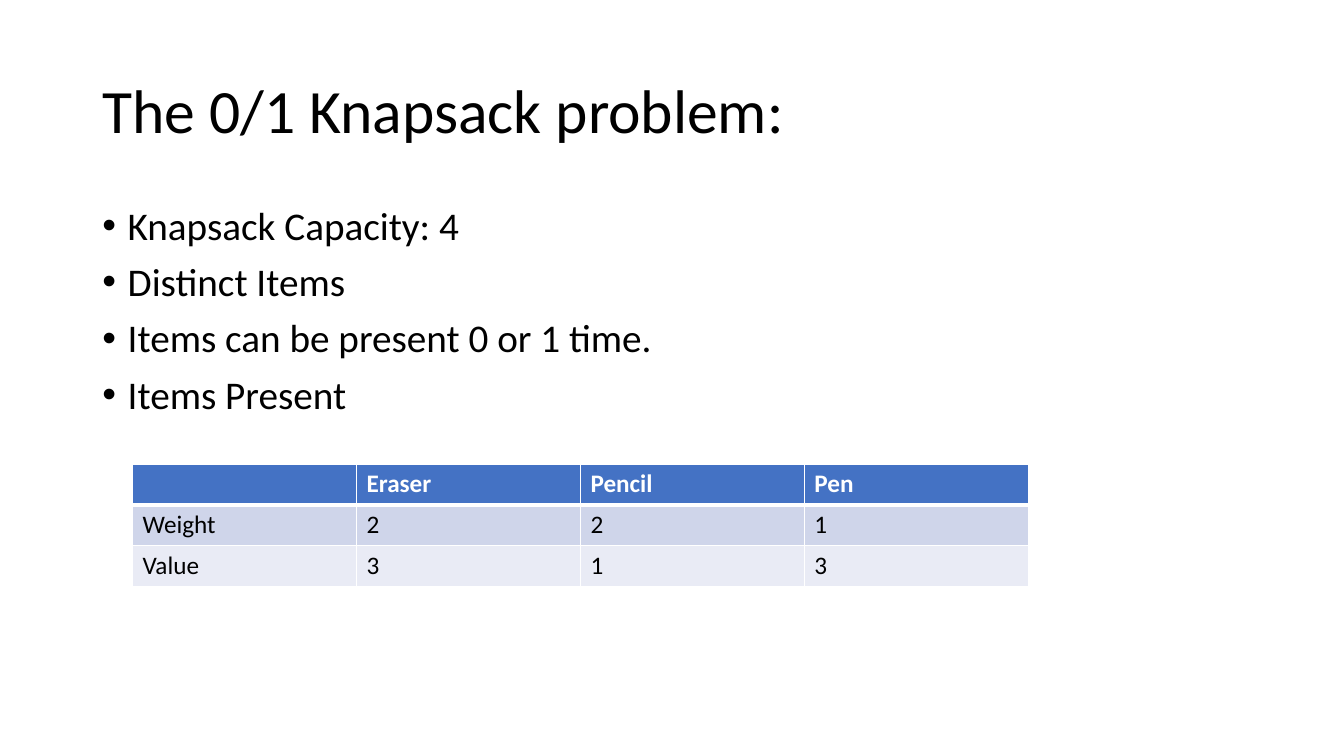
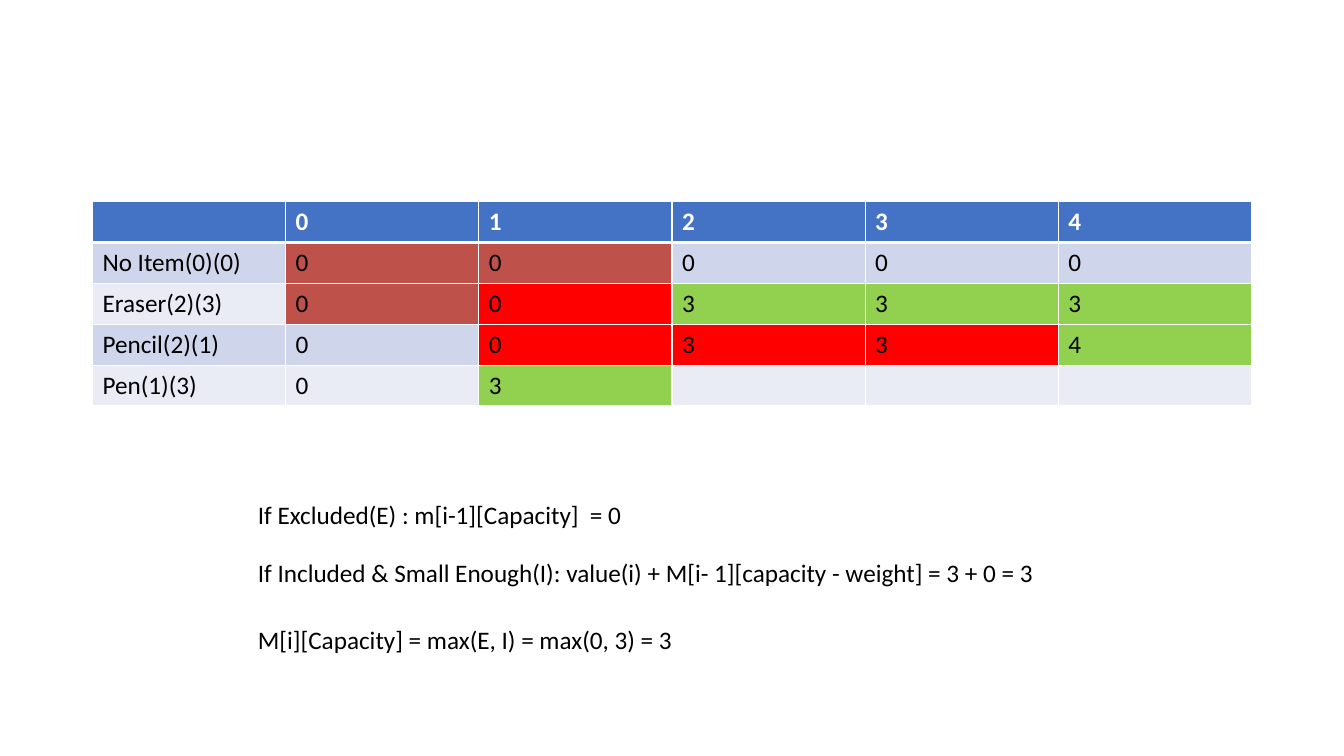
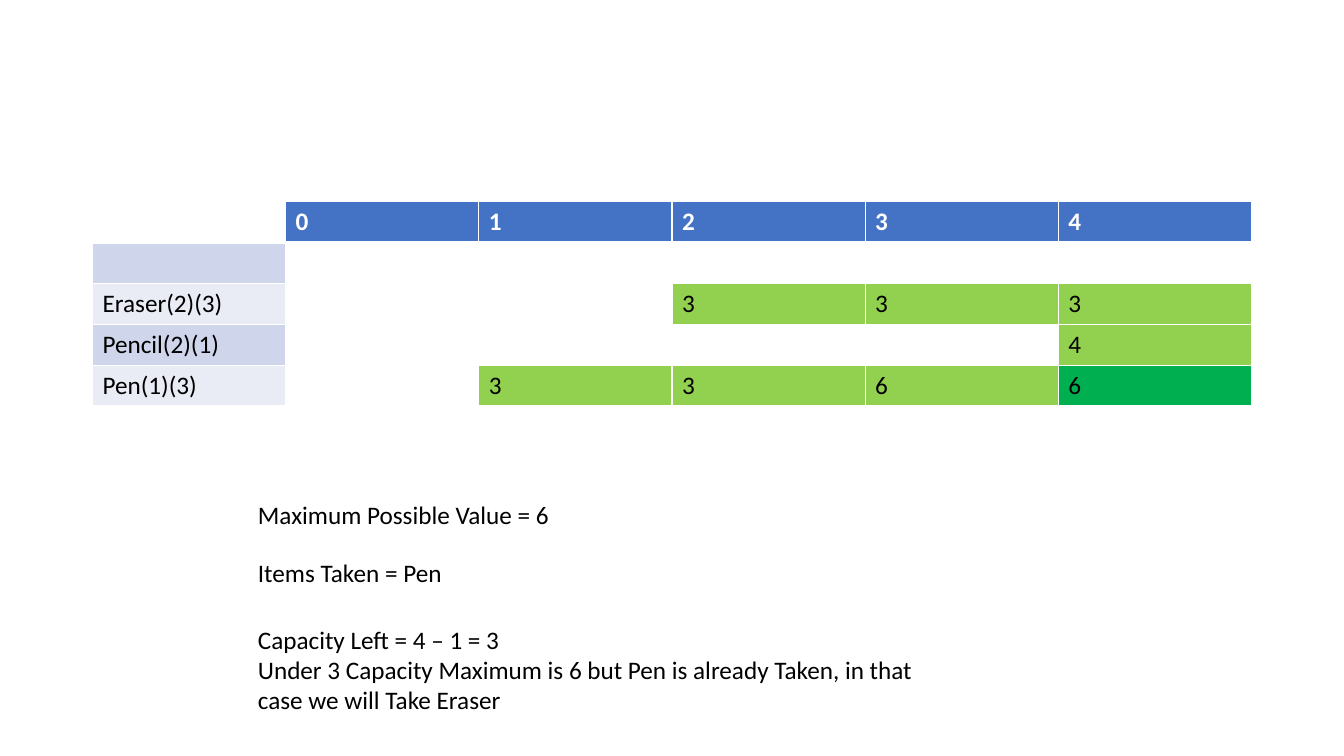
from pptx import Presentation
from pptx.dml.color import RGBColor
from pptx.enum.text import MSO_ANCHOR, MSO_AUTO_SIZE
from pptx.oxml.ns import qn
from pptx.util import Cm, Pt
from lxml import etree

COLORS = {
    "text": "000000",
    "white": "FFFFFF",
    "header": "4472C4",
    "band": "CFD5EA",
    "light": "E9EBF5",
    "brown": "BE524A",
    "red": "FF0000",
    "green": "92D050",
    "best": "00B050",
}
FILL_CODES = {"H": "header", "B": "band", "L": "light", "N": "brown",
              "R": "red", "G": "green", "X": "best", ".": None}
FONT = "Calibri"
LEFT, WIDTH = 2.33, 29.21
ROW_HEIGHT = 1.03
CAPACITIES = ["", "0", "1", "2", "3", "4"]
GRID_BOX = (LEFT, 5.08, WIDTH)
NOTE_LEFT = 6.25
NOTE_TOPS = (12.47, 13.92, 15.6)


def rgb(name):
    return RGBColor.from_string(COLORS[name])


def write(paragraph, text, size, color="text", bold=False):
    run = paragraph.add_run()
    run.text = text
    run.font.name = FONT
    run.font.size = Pt(size)
    run.font.bold = bold
    run.font.color.rgb = rgb(color)


def add_text(slide, box, lines, size, anchor=MSO_ANCHOR.TOP,
             fit=MSO_AUTO_SIZE.NONE):
    frame = slide.shapes.add_textbox(*map(Cm, box)).text_frame
    frame.word_wrap = True
    frame.auto_size = fit
    frame.vertical_anchor = anchor
    for index, line in enumerate(lines):
        paragraph = frame.add_paragraph() if index else frame.paragraphs[0]
        write(paragraph, line, size)
    return frame.paragraphs


def add_title(slide, box, text):
    add_text(slide, box, [text], 44, MSO_ANCHOR.MIDDLE)[0].line_spacing = 0.9


def add_bullets(slide, box, lines):
    for paragraph in add_text(slide, box, lines, 28):
        paragraph.line_spacing = 0.9
        paragraph.space_before = Pt(10)
        properties = paragraph._p.get_or_add_pPr()
        properties.set("marL", str(Cm(0.64)))
        properties.set("indent", str(-Cm(0.64)))
        etree.SubElement(properties, qn("a:buFont"), typeface="Arial")
        etree.SubElement(properties, qn("a:buChar"), char="•")


def add_borders(cell, top, bottom):
    properties = cell._tc.get_or_add_tcPr()
    for side, width in (("L", 1), ("R", 1), ("T", top), ("B", bottom)):
        line = etree.SubElement(properties, qn("a:ln" + side), w=str(Pt(width)))
        fill = etree.SubElement(line, qn("a:solidFill"))
        etree.SubElement(fill, qn("a:srgbClr"), val=COLORS["white"])


def add_grid(slide, box, rows, fills):
    left, top, width = box
    columns = len(rows[0])
    table = slide.shapes.add_table(
        len(rows), columns, Cm(left), Cm(top),
        Cm(width), Cm(ROW_HEIGHT * len(rows))).table
    table.horz_banding = False
    for column in table.columns:
        column.width = Cm(width / columns)
    for r, (texts, codes) in enumerate(zip(rows, fills)):
        table.rows[r].height = Cm(ROW_HEIGHT)
        for c, (text, code) in enumerate(zip(texts, codes)):
            cell = table.cell(r, c)
            add_borders(cell, 3 if r == 1 else 1, 3 if r == 0 else 1)
            if FILL_CODES[code]:
                cell.fill.solid()
                cell.fill.fore_color.rgb = rgb(FILL_CODES[code])
            else:
                cell.fill.background()
            if text:
                write(cell.text_frame.paragraphs[0], text, 18,
                      "text" if r else "white", r == 0)


def add_notes_below(slide, notes):
    for top, (width, lines) in zip(NOTE_TOPS, notes):
        height = 1.03 if len(lines) == 1 else 2.57
        add_text(slide, (NOTE_LEFT, top, width, height), lines, 18,
                 fit=MSO_AUTO_SIZE.SHAPE_TO_FIT_TEXT)


def problem_slide(slide):
    add_title(slide, (LEFT, 1.01, WIDTH, 3.68), "The 0/1 Knapsack problem:")
    add_bullets(slide, (LEFT, 5.07, WIDTH, 12.09), [
        "Knapsack Capacity: 4",
        "Distinct Items",
        "Items can be present 0 or 1 time.",
        "Items Present",
    ])
    add_grid(slide, (3.34, 11.69, 22.58), [
        ["", "Eraser", "Pencil", "Pen"],
        ["Weight", "2", "2", "1"],
        ["Value", "3", "1", "3"],
    ], ["HHHH", "BBBB", "LLLL"])


def step_slide(slide, rows, fills, notes):
    add_grid(slide, GRID_BOX, [CAPACITIES] + rows, fills)
    add_notes_below(slide, notes)


prs = Presentation()
prs.slide_width, prs.slide_height = Cm(33.87), Cm(19.05)
blank = prs.slide_layouts[6]

problem_slide(prs.slides.add_slide(blank))

step_slide(prs.slides.add_slide(blank), [
    ["No Item(0)(0)", "0", "0", "0", "0", "0"],
    ["Eraser(2)(3)", "0", "0", "3", "3", "3"],
    ["Pencil(2)(1)", "0", "0", "3", "3", "4"],
    ["Pen(1)(3)", "0", "3", "", "", ""],
], ["HHHHHH", "BNNBBB", "LNRGGG", "BBRRRG", "LLGLLL"], [
    (19.25, ["If Excluded(E) : m[i-1][Capacity]  = 0"]),
    (20.68, ["If Included & Small Enough(I): value(i) + "
             "M[i- 1][capacity - weight] = 3 + 0 = 3"]),
    (17.22, ["M[i][Capacity] = max(E, I) = max(0, 3) = 3"]),
])

step_slide(prs.slides.add_slide(blank), [
    ["", "", "", "", "", ""],
    ["Eraser(2)(3)", "", "", "3", "3", "3"],
    ["Pencil(2)(1)", "", "", "", "", "4"],
    ["Pen(1)(3)", "", "3", "3", "6", "6"],
], [".HHHHH", "B.....", "L..GGG", "B....G", "L.GGGX"], [
    (19.25, ["Maximum Possible Value = 6"]),
    (21.79, ["Items Taken = Pen"]),
    (17.22, ["Capacity Left = 4 – 1 = 3",
             "Under 3 Capacity Maximum is 6 but Pen is already Taken, "
             "in that case we will Take Eraser"]),
])

prs.save("out.pptx")
